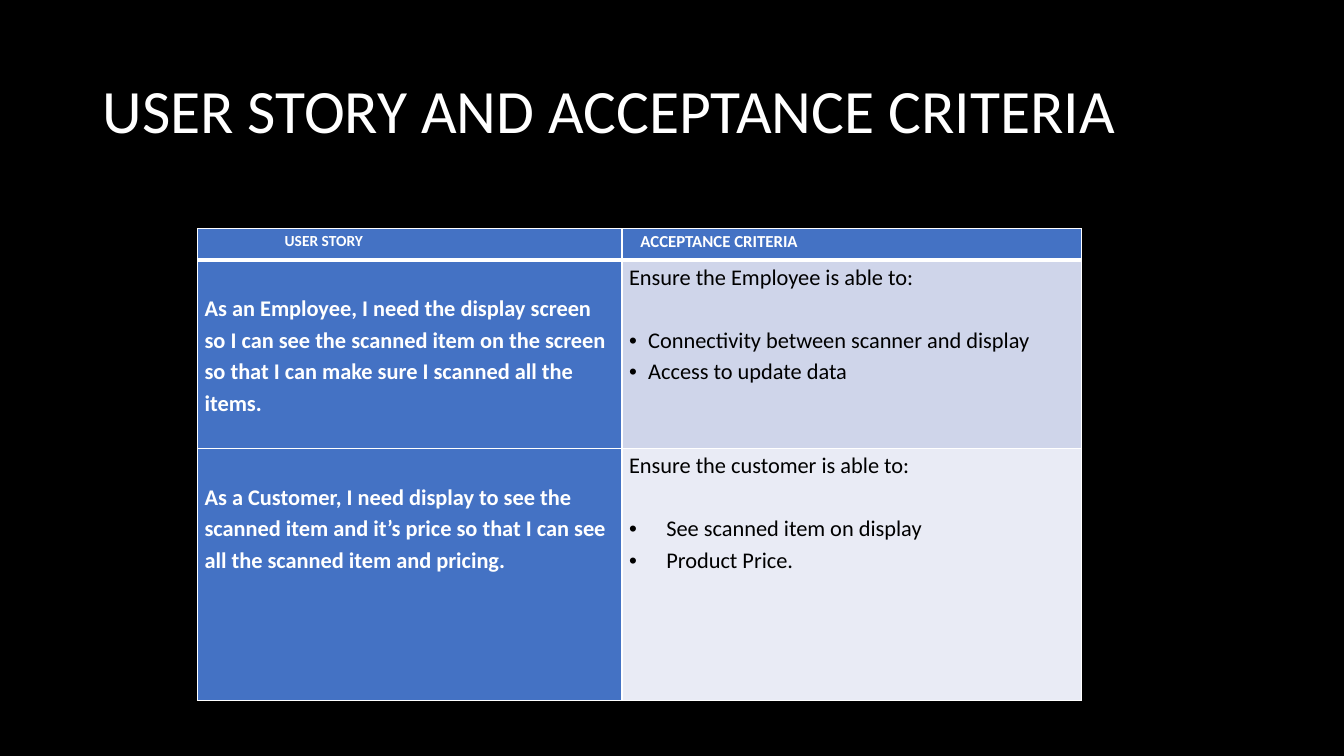
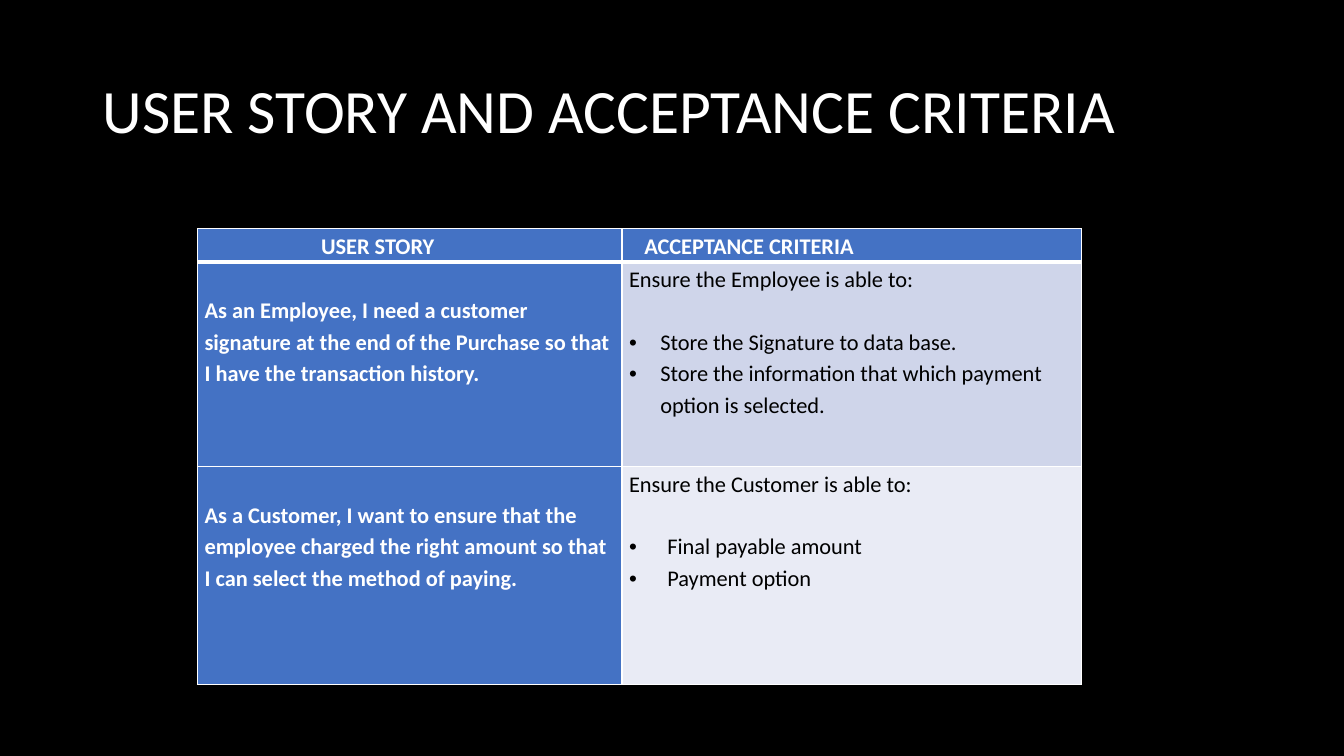
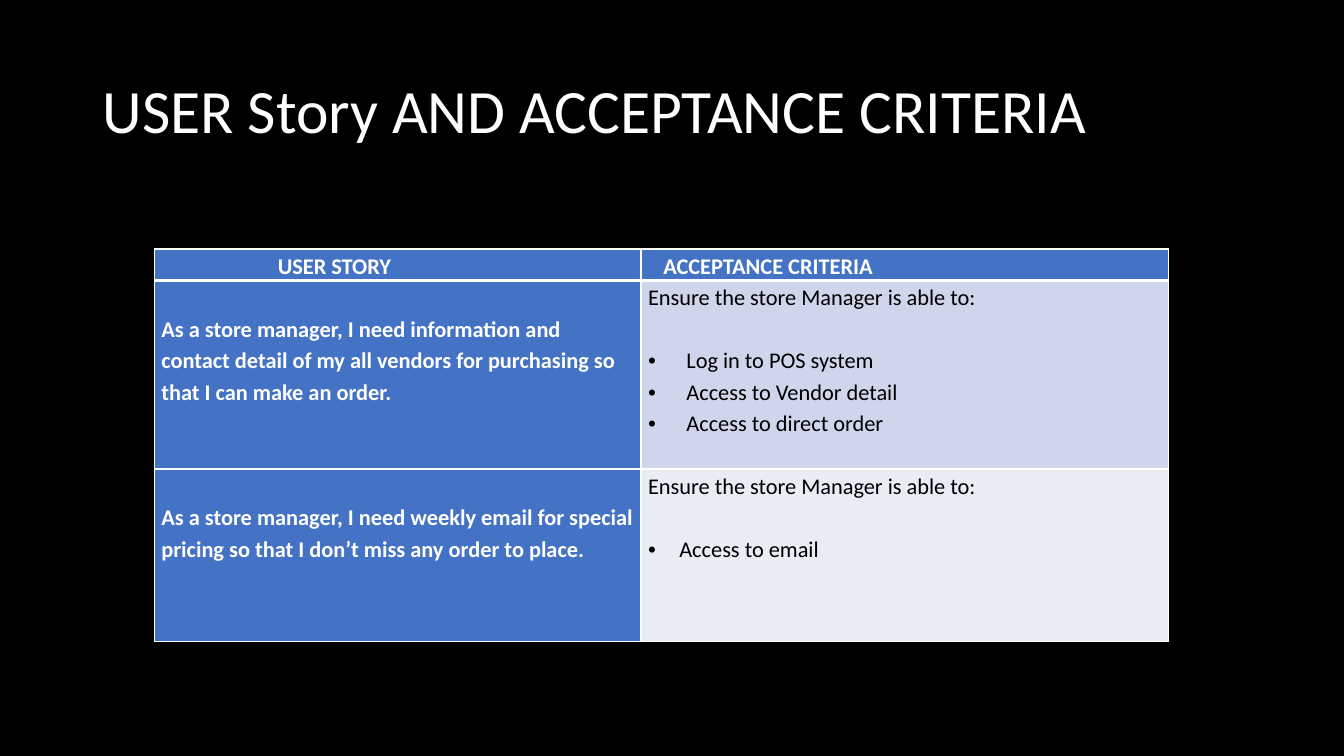
from pptx import Presentation
from pptx.dml.color import RGBColor as Rgb
from pptx.enum.text import MSO_ANCHOR as Anchor, PP_ALIGN as Align
from pptx.oxml.ns import qn
from pptx.util import Inches, Pt
from lxml.etree import SubElement as Sub

BLACK = Rgb(0x00, 0x00, 0x00)
WHITE = Rgb(0xFF, 0xFF, 0xFF)
BLUE = Rgb(0x44, 0x72, 0xC4)
BANDS = Rgb(0xCF, 0xD5, 0xEA), Rgb(0xE9, 0xEB, 0xF5)

WIDE, HIGH = 13.33, 7.5
COLS = 0.48, 0.52
PAD, LINE = 0.07, 0.31
SPACE = 0.226 / 72
HEADS = ("USER STORY", 23), ("ACCEPTANCE CRITERIA", 3)
TITLE = {"size": Pt(44), "name": "Calibri", "bold": False}
HEAD = {"name": "Calibri", "bold": True}
STORY = {"size": Pt(16), "name": "Calibri", "bold": True}
ITEM = {"size": Pt(16), "name": "Calibri", "bold": False}

SLIDES = [
    {
        "title": "USER STORY AND ACCEPTANCE CRITERIA",
        "box": (14.7, 30.27, 65.8), "rows": (4.13, 24.93, 33.33), "sizes": (11, 12),
        "body": [
            ("As an Employee, I need the display screen so I can see the scanned item "
             "on the screen so that I can make sure I scanned all the items.",
             "Ensure the Employee is able to:", 0.19,
             ["Connectivity between scanner and display", "Access to update data"]),
            ("As a Customer, I need display to see the scanned item and it’s price "
             "so that I can see all the scanned item and pricing.",
             "Ensure the customer is able to:", 0.37,
             ["See scanned item on display", "Product Price."]),
        ],
    },
    {
        "title": "USER STORY AND ACCEPTANCE CRITERIA",
        "box": (14.7, 30.27, 65.8), "rows": (4.4, 27.07, 28.8), "sizes": (16, 16),
        "body": [
            ("As an Employee, I need a customer signature at the end of the Purchase "
             "so that I have the transaction history.",
             "Ensure the Employee is able to:", 0.31,
             ["Store the Signature to data base.",
              "Store the information that which payment option is selected."]),
            ("As a Customer, I want to ensure that the employee charged the right "
             "amount so that I can select the method of paying.",
             "Ensure the Customer is able to:", 0.38,
             ["Final payable amount", "Payment option"]),
        ],
    },
    {
        "title": "USER Story AND ACCEPTANCE CRITERIA",
        "box": (11.48, 32.93, 75.46), "rows": (4.13, 24.93, 22.8), "sizes": (16, 16),
        "body": [
            ("As a store manager, I need information and contact detail of my all "
             "vendors for purchasing so that I can make an order.",
             "Ensure the store Manager is able to:", 0.38,
             ["Log in to POS system", "Access to Vendor detail", "Access to direct order"]),
            ("As a store manager, I need weekly email for special pricing so that I "
             "don’t miss any order to place.",
             "Ensure the store Manager is able to:", 0.31, ["Access to email"]),
        ],
    },
]


def across(part):
    """Return a percentage of the slide's width."""
    return Inches(WIDE * part / 100)


def down(part):
    """Return a percentage of the slide's height."""
    return Inches(HIGH * part / 100)


def apply(obj, form):
    """Set each attribute of a format dict on an object."""
    for key, val in form.items():
        setattr(obj, key, val)


def write(para, text, form, ink, gap=1.15):
    """Write one formatted run into a paragraph."""
    para.line_spacing = gap
    run = para.add_run()
    run.text = text
    apply(run.font, form)
    run.font.color.rgb = ink


def bullet(para, hang):
    """Give a paragraph a bullet with a hanging indent in inches."""
    props = para._p.get_or_add_pPr()
    props.set("marL", str(Inches(hang)))
    props.set("indent", str(-Inches(hang)))
    Sub(props, qn("a:buFont"), typeface="Arial")
    Sub(props, qn("a:buChar"), char="•")


def border(cell, top, base):
    """Draw white cell edges with the given top and bottom widths."""
    props = cell._tc.get_or_add_tcPr()
    for side, thick in zip("LRTB", (1, 1, top, base)):
        edge = Sub(props, qn("a:ln" + side), w=str(Pt(thick)))
        fill = Sub(edge, qn("a:solidFill"))
        Sub(fill, qn("a:srgbClr"), val=str(WHITE))


def dress(cell, fill, edges, left=PAD, top=0):
    """Set a cell's edges, fill and insets and return its first paragraph."""
    border(cell, *edges)
    cell.fill.solid()
    cell.fill.fore_color.rgb = fill
    apply(cell, {"margin_left": Inches(left), "margin_right": Inches(PAD),
                 "margin_top": Inches(top), "margin_bottom": 0})
    return cell.text_frame.paragraphs[0]


def listing(cell, lead, hang, items):
    """Fill a criteria cell with a lead line and its bullets."""
    frame = cell.text_frame
    write(frame.paragraphs[0], lead, ITEM, BLACK)
    for num, item in enumerate(items):
        para = frame.add_paragraph()
        para.space_before = Pt(0 if num else LINE * 72)
        bullet(para, hang)
        write(para, item, ITEM, BLACK)


def grid(slide, box, rows, sizes, body):
    """Add the table of stories and criteria."""
    left, top, width = box
    table = slide.shapes.add_table(len(rows), len(COLS), across(left), down(top),
                                   across(width), down(sum(rows))).table
    for col, part in zip(table.columns, COLS):
        col.width = across(width * part)
    for row, part in zip(table.rows, rows):
        row.height = down(part)
    for num, ((text, step), size) in enumerate(zip(HEADS, sizes)):
        para = dress(table.cell(0, num), BLUE, (1, 3), PAD + step * SPACE * size)
        write(para, text, HEAD | {"size": Pt(size)}, WHITE)
    for num, (story, lead, hang, items) in enumerate(body):
        edges = (1 if num else 3, 1)
        want, tests = table.rows[num + 1].cells
        write(dress(want, BLUE, edges, top=LINE), story, STORY, WHITE)
        dress(tests, BANDS[num % 2], edges)
        listing(tests, lead, hang, items)


def heading(slide, text):
    """Fill the title placeholder."""
    frame = slide.shapes.title.text_frame
    frame.vertical_anchor = Anchor.MIDDLE
    para = frame.paragraphs[0]
    para.alignment = Align.LEFT
    write(para, text, TITLE, WHITE, 0.9)


def theme(deck):
    """Set the slide size, black ground and title place."""
    apply(deck, {"slide_width": across(100), "slide_height": down(100)})
    master = deck.slide_master
    master.background.fill.solid()
    master.background.fill.fore_color.rgb = BLACK
    layout = deck.slide_layouts.get_by_name("Title Only")
    for page in (master, layout):
        apply(page.placeholders[0], {"left": across(6.9), "top": down(5.33),
                                     "width": across(86.27), "height": down(19.33)})
    return layout


def main():
    """Build and save the deck."""
    deck = Presentation()
    layout = theme(deck)
    for page in SLIDES:
        slide = deck.slides.add_slide(layout)
        heading(slide, page["title"])
        grid(slide, page["box"], page["rows"], page["sizes"], page["body"])
    deck.save("out.pptx")


if __name__ == "__main__":
    main()
